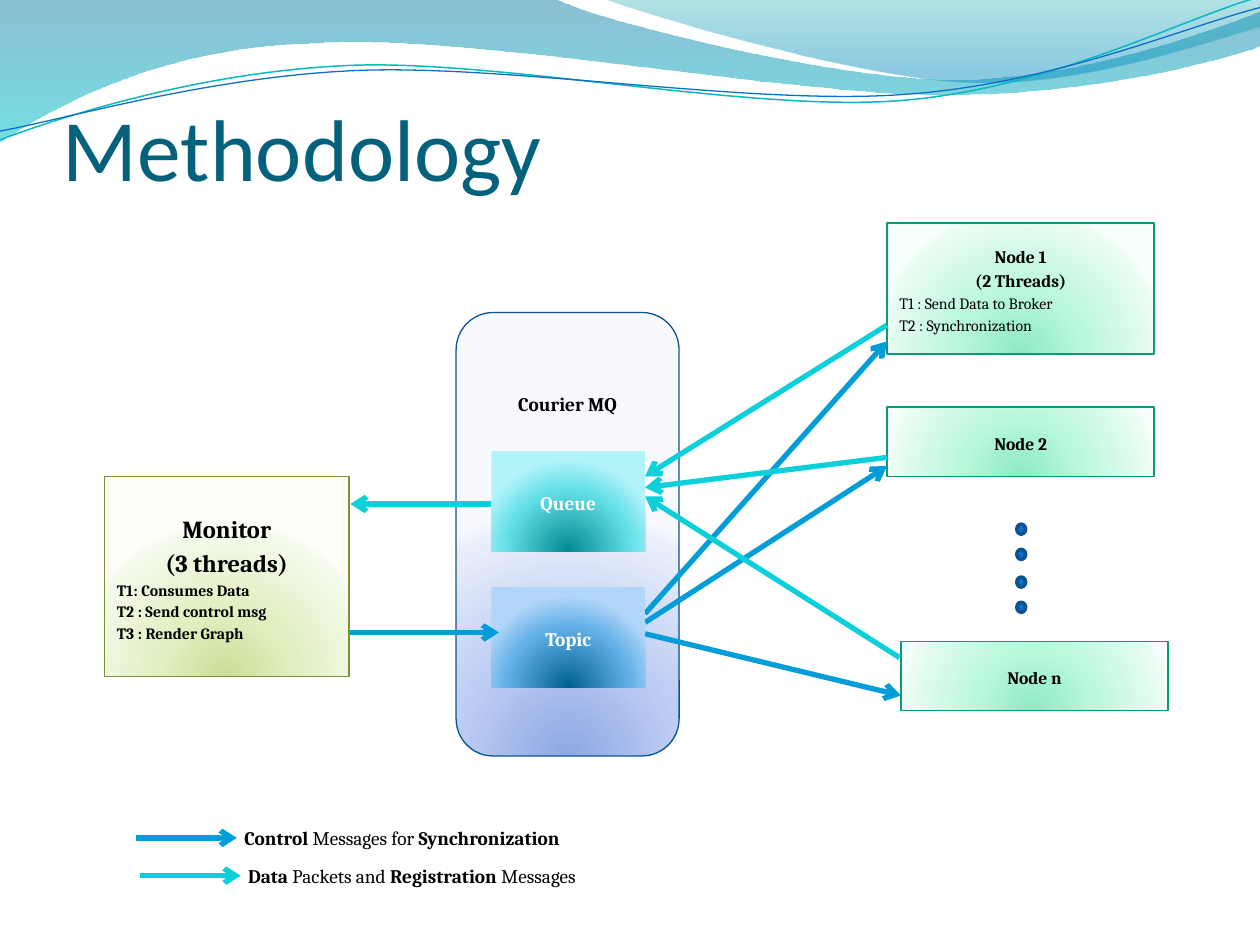
from lxml import etree
from pptx import Presentation
from pptx.dml.color import RGBColor
from pptx.enum.shapes import MSO_CONNECTOR, MSO_SHAPE
from pptx.enum.text import MSO_ANCHOR, PP_ALIGN
from pptx.oxml.ns import qn
from pptx.util import Inches, Pt

RECT, ROUND, OVAL = MSO_SHAPE.RECTANGLE, MSO_SHAPE.ROUNDED_RECTANGLE, MSO_SHAPE.OVAL
STRAIGHT = MSO_CONNECTOR.STRAIGHT
LEFT, CENTER = PP_ALIGN.LEFT, PP_ALIGN.CENTER
TOP, MIDDLE, BOTTOM = MSO_ANCHOR.TOP, MSO_ANCHOR.MIDDLE, MSO_ANCHOR.BOTTOM
CONTROL, DATA = "009DD9", "0BD0D9"
GREEN = [(0, "8DEAC2"), (43, "BAF8DB"), (93, "EAFCF3"), (100, "F7FFFB")]
OLIVE = [(0, "C9DF97"), (43, "E0F0C1"), (93, "F5FAEC"), (100, "FCFEF8")]
INDIGO = [(0, "8DA8E3"), (43, "BBCBF3"), (93, "EAEFFB"), (100, "F7F9FF")]
BLUE = [(0, "006091"), (68, "64B1E7"), (100, "B1D6F9")]
TEAL = [(0, "008A91"), (68, "64DFE7"), (100, "B1F3F9")]


def rgb(value):
    """Return a colour from a hex string."""
    return RGBColor.from_string(value)


def write(tf, runs, size=11, color="000000", bold=True, align=CENTER, after=0,
          font="Cambria", spacing=1.15):
    """Add a paragraph made of a string or of (text, bold) runs."""
    p = tf.paragraphs[0]
    if p.runs:
        p = tf.add_paragraph()
    p.alignment, p.line_spacing, p.space_after = align, spacing, Pt(after)
    for text, heavy in [(runs, bold)] if isinstance(runs, str) else runs:
        r = p.add_run()
        r.text = text
        r.font.name, r.font.size, r.font.bold = font, Pt(size), heavy
        r.font.color.rgb = rgb(color)


def gradient(sp, stops, linear=False):
    """Fill a shape with (position, colour, optional opacity) stops."""
    sp.fill.background()
    old = sp._element.spPr.find(qn("a:noFill"))
    grad = etree.Element(qn("a:gradFill"), rotWithShape="1")
    stop_list = etree.SubElement(grad, qn("a:gsLst"))
    for pos, color, *alpha in stops:
        gs = etree.SubElement(stop_list, qn("a:gs"), pos=str(pos * 1000))
        clr = etree.SubElement(gs, qn("a:srgbClr"), val=color)
        for value in alpha:
            etree.SubElement(clr, qn("a:alpha"), val=str(value * 1000))
    if linear:
        etree.SubElement(grad, qn("a:lin"), ang="5400000", scaled="0")
    else:
        circle = etree.SubElement(grad, qn("a:path"), path="circle")
        etree.SubElement(circle, qn("a:fillToRect"), l="50000", t="130000",
                         r="50000", b="-30000")
    old.getparent().replace(old, grad)


class Diagram:
    """Draws the elements of one slide in a shared style."""

    def __init__(self, slide):
        """Keep the slide's shapes."""
        self.shapes = slide.shapes

    def outline(self, sp, color, width):
        """Set or remove a shape's line."""
        sp.shadow.inherit = False
        if color:
            sp.line.color.rgb, sp.line.width = rgb(color), Pt(width)
        else:
            sp.line.fill.background()

    def wave(self, start, parts, stops=None, line=None, width=0.75):
        """Draw a band or line from (x, y) corners and six-number curves."""
        points = [(Inches(part[i]), Inches(part[i + 1]))
                  for part in parts for i in range(0, len(part), 2)]
        fb = self.shapes.build_freeform(Inches(start[0]), Inches(start[1]))
        fb.add_line_segments(points, close=bool(stops))
        sp = fb.convert_to_shape()
        segments = iter(list(sp._element.iter(qn("a:lnTo"))))
        for part in parts:
            group = [next(segments) for _ in range(len(part) // 2)]
            if len(group) == 3:
                curve = etree.Element(qn("a:cubicBezTo"))
                group[0].addprevious(curve)
                for segment in group:
                    curve.append(segment[0])
                    segment.getparent().remove(segment)
        if stops:
            gradient(sp, stops, linear=True)
        else:
            sp.fill.background()
        self.outline(sp, line, width)

    def box(self, kind, at, fill, line=None, width=0.75, anchor=MIDDLE):
        """Draw a preset shape and return its text frame."""
        sp = self.shapes.add_shape(kind, *map(Inches, at))
        if isinstance(fill, str):
            sp.fill.solid()
            sp.fill.fore_color.rgb = rgb(fill)
        else:
            gradient(sp, fill)
        self.outline(sp, line, width)
        tf = sp.text_frame
        tf.word_wrap, tf.vertical_anchor = True, anchor
        return tf

    def text(self, at, anchor=TOP):
        """Add a text box and return its text frame."""
        tf = self.shapes.add_textbox(*map(Inches, at)).text_frame
        tf.word_wrap, tf.vertical_anchor = True, anchor
        return tf

    def arrow(self, start, end, color):
        """Draw an arrow between two points."""
        sp = self.shapes.add_connector(STRAIGHT, *map(Inches, start + end))
        sp.line.color.rgb, sp.line.width = rgb(color), Pt(3)
        etree.SubElement(sp.line._get_or_add_ln(), qn("a:tailEnd"), type="arrow")
        etree.SubElement(sp._element.spPr, qn("a:effectLst"))


prs = Presentation()
prs.slide_width, prs.slide_height = Inches(10), Inches(7.5)
s = Diagram(prs.slides.add_slide(prs.slide_layouts[6]))

s.wave((0, 0), [(4.4, -0.01), (4.76, 0.17, 6.64, 0.63, 7.58, 0.63),
                (8.53, 0.63, 9.58, 0.26, 10, 0.09), (10.01, 0.36),
                (9.83, 0.44, 8.7, 0.76, 7.46, 0.75),
                (6.22, 0.75, 3.82, 0.28, 2.57, 0.34),
                (1.29, 0.36, 0.46, 0.83, -0.01, 1.13)],
       [(0, "0074A1", 45), (100, "00C6CF", 55)])
s.wave((4.79, -0.01), [(5.09, 0.11, 6.82, 0.62, 7.69, 0.65),
                       (8.56, 0.69, 9.61, 0.32, 10, 0.21), (10, 0)],
       [(0, "00A1A9", 30), (80, "008BBF", 45)])
s.wave((0, 1.11), [(0.48, 0.93, 1.58, 0.57, 2.77, 0.52),
                   (3.95, 0.47, 5.93, 0.89, 7.13, 0.8),
                   (8.33, 0.71, 9.38, 0.15, 9.98, -0.02)],
       line="0AB8BF", width=0.85)
s.wave((0, 1.04), [(0.47, 0.96, 1.64, 0.61, 2.83, 0.56),
                   (4.03, 0.51, 5.97, 0.84, 7.17, 0.75),
                   (8.36, 0.67, 9.41, 0.21, 10, 0.06)], line="0F6FC6")

title = s.text((0.5, 0.33, 9, 1.25), BOTTOM)
title.margin_left = title.margin_right = title.margin_bottom = 0
write(title, "Methodology", size=50, color="04617B", bold=False, align=LEFT,
      font="Calibri", spacing=1)

legend = [
    (1.08, 6.65, CONTROL, [("Control", True), (" Messages for ", False),
                           ("Synchronization", True)]),
    (1.11, 6.95, DATA, [("Data", True), (" Packets and ", False),
                        ("Registration", True), (" Messages", False)]),
]
for x, y, color, runs in legend:
    s.arrow((x, y), (x + 0.8, y), color)
    write(s.text((x + 0.76, y - 0.17, 6.31, 0.38)), runs, align=LEFT, after=10)

for y in (4.16, 4.36, 4.58, 4.78):
    s.box(OVAL, (8.07, y, 0.07, 0.08), "0F6FC6", "0B5292", 2)

broker = s.box(ROUND, (3.62, 2.48, 1.77, 3.52), INDIGO, "095295", anchor=TOP)
broker.margin_top = Inches(0.52)
write(broker, "Courier MQ")

monitor = s.box(RECT, (0.83, 3.78, 1.94, 1.59), OLIVE, "7B9135")
for line in ("Monitor", "(3 threads)"):
    write(monitor, line, size=14)
for line in ("T1: Consumes Data", "T2 : Send control msg", "T3 : Render Graph"):
    write(monitor, line, size=9, align=LEFT)

node = s.box(RECT, (7.04, 1.77, 2.12, 1.04), GREEN, "0A9B74")
for line in ("Node 1", "(2 Threads)"):
    write(node, line, size=10)
for line in ("T1 : Send Data to Broker", "T2 : Synchronization"):
    write(node, line, size=9, bold=False, align=LEFT)
for label, x, y in (("Node 2", 7.04, 3.23), ("Node n", 7.15, 5.09)):
    write(s.box(RECT, (x, y, 2.12, 0.55), GREEN, "0A9B74"), label, size=10, after=10)

for start, end in (((5.12, 4.87), (7.04, 2.71)), ((5.12, 4.94), (7.04, 3.7)),
                   ((5.12, 5.03), (7.15, 5.52))):
    s.arrow(start, end, CONTROL)
for label, y, fill in (("Topic", 4.66, BLUE), ("Queue", 3.58, TEAL)):
    write(s.box(RECT, (3.9, y, 1.22, 0.8), fill), label, color="FFFFFF", after=10)
s.arrow((2.78, 5.02), (3.96, 5.02), CONTROL)
for start, end in (((3.9, 4), (2.78, 4)), ((7.14, 5.22), (5.12, 3.94)),
                   ((7.04, 3.63), (5.12, 3.87)), ((7.04, 2.58), (5.12, 3.78))):
    s.arrow(start, end, DATA)

prs.save("out.pptx")
